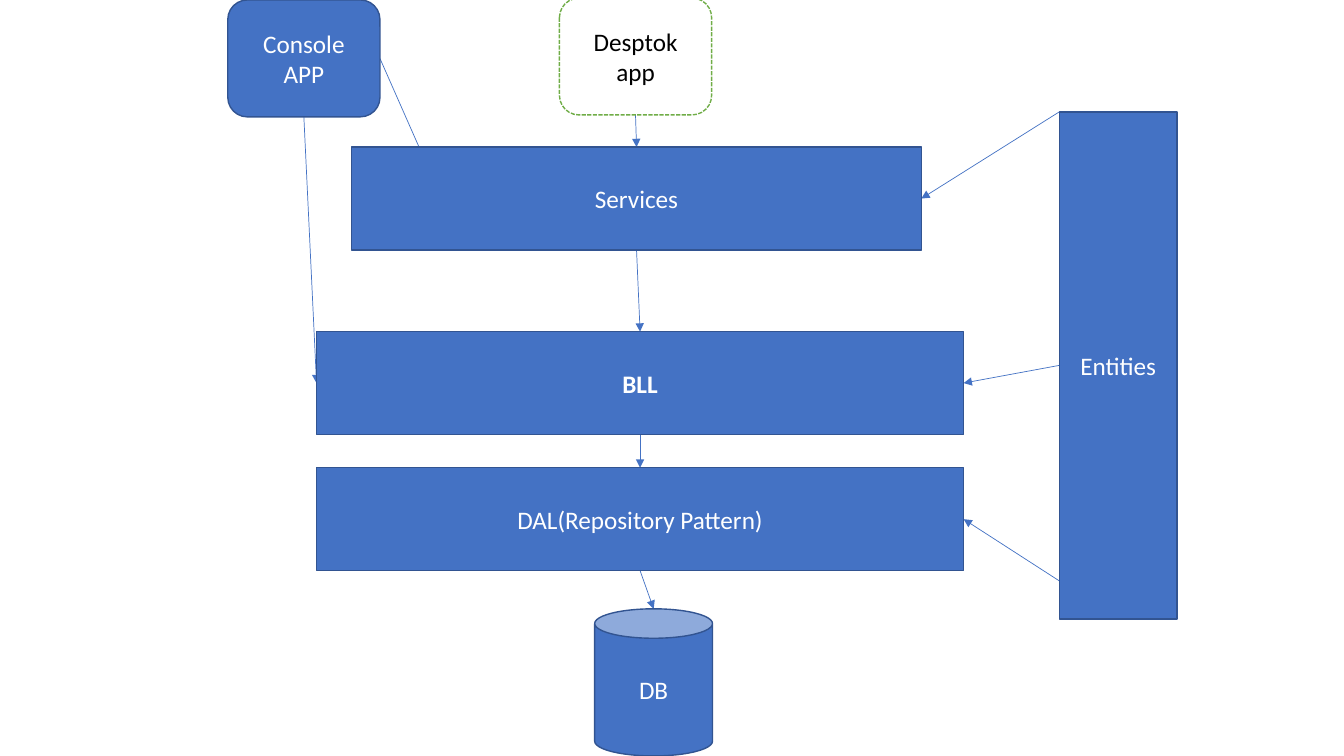
from pptx import Presentation
from pptx.dml.color import RGBColor
from pptx.enum.dml import MSO_LINE
from pptx.enum.shapes import MSO_CONNECTOR, MSO_SHAPE
from pptx.enum.text import MSO_ANCHOR, PP_ALIGN
from pptx.oxml.ns import qn
from pptx.util import Pt
from lxml import etree

BLUE = RGBColor(0x44, 0x72, 0xC4)
DARK_BLUE = RGBColor(0x32, 0x54, 0x91)
GREEN = RGBColor(0x70, 0xAD, 0x47)
WHITE = RGBColor(0xFF, 0xFF, 0xFF)
BLACK = RGBColor(0x00, 0x00, 0x00)

# Left, top, width, height in points
LAYER_HEIGHT = 73.5
CONSOLE = (162.7, 0, 108.7, 83.5)
DESKTOP = (399.6, -1.4, 108.7, 83.5)
SERVICES = (251.3, 105.1, 406.8, LAYER_HEIGHT)
BLL = (226.1, 236.9, 462.2, LAYER_HEIGHT)
DAL = (226.1, 334.1, 462.2, LAYER_HEIGHT)
DATABASE = (424.8, 434.9, 84.2, 105.1)
ENTITIES = (756.7, 79.9, 84.2, 362.2)


def anchor(box, across, down):
    """Return the point at the given fractions of a box's width and height."""
    left, top, width, height = box
    return Pt(left + across * width), Pt(top + down * height)


def add_box(text, box, kind=MSO_SHAPE.RECTANGLE, fill=BLUE, line=DARK_BLUE,
            color=WHITE, bold=False, dash=None):
    """Add a shape with centred text in the given format."""
    shape = slide.shapes.add_shape(kind, *[Pt(length) for length in box])
    shape.shadow.inherit = False
    shape.fill.solid()
    shape.fill.fore_color.rgb = fill
    shape.line.color.rgb = line
    shape.line.width = Pt(1)
    if dash:
        shape.line.dash_style = dash
    frame = shape.text_frame
    frame.word_wrap = True
    frame.vertical_anchor = MSO_ANCHOR.MIDDLE
    paragraph = frame.paragraphs[0]
    paragraph.alignment = PP_ALIGN.CENTER
    run = paragraph.add_run()
    run.text = text
    run.font.name = "Calibri"
    run.font.size = Pt(18)
    run.font.bold = bold
    run.font.color.rgb = color


presentation = Presentation()
presentation.slide_width = Pt(960)
presentation.slide_height = Pt(540)
slide = presentation.slides.add_slide(presentation.slide_layouts[6])

# Arrows lie behind the boxes
TOP, LEFT, BOTTOM, RIGHT = (0.5, 0), (0, 0.5), (0.5, 1), (1, 0.5)
arrows = [
    (DESKTOP, BOTTOM, SERVICES, TOP),
    (SERVICES, BOTTOM, BLL, TOP),
    (BLL, BOTTOM, DAL, TOP),
    (DAL, BOTTOM, DATABASE, TOP),
    (CONSOLE, BOTTOM, BLL, LEFT),
    (CONSOLE, RIGHT, SERVICES, (0.15, 0.4)),
    (ENTITIES, (0, 0), SERVICES, RIGHT),
    (ENTITIES, LEFT, BLL, RIGHT),
    (ENTITIES, BOTTOM, DAL, RIGHT),
]
for source, source_side, target, target_side in arrows:
    connector = slide.shapes.add_connector(
        MSO_CONNECTOR.STRAIGHT,
        *anchor(source, *source_side), *anchor(target, *target_side))
    connector.line.color.rgb = BLUE
    connector.line.width = Pt(0.5)
    properties = connector._element.spPr
    etree.SubElement(properties.find(qn("a:ln")), qn("a:tailEnd"), type="triangle")
    etree.SubElement(properties, qn("a:effectLst"))

add_box("DAL(Repository Pattern)", DAL)
add_box("Entities", ENTITIES)
add_box("BLL", BLL, bold=True)
add_box("Console APP", CONSOLE, kind=MSO_SHAPE.ROUNDED_RECTANGLE)
add_box("Services", SERVICES)
add_box("DB", DATABASE, kind=MSO_SHAPE.CAN)
add_box("Desptok app", DESKTOP, kind=MSO_SHAPE.ROUNDED_RECTANGLE, fill=WHITE,
        line=GREEN, color=BLACK, dash=MSO_LINE.SQUARE_DOT)

presentation.save("out.pptx")
